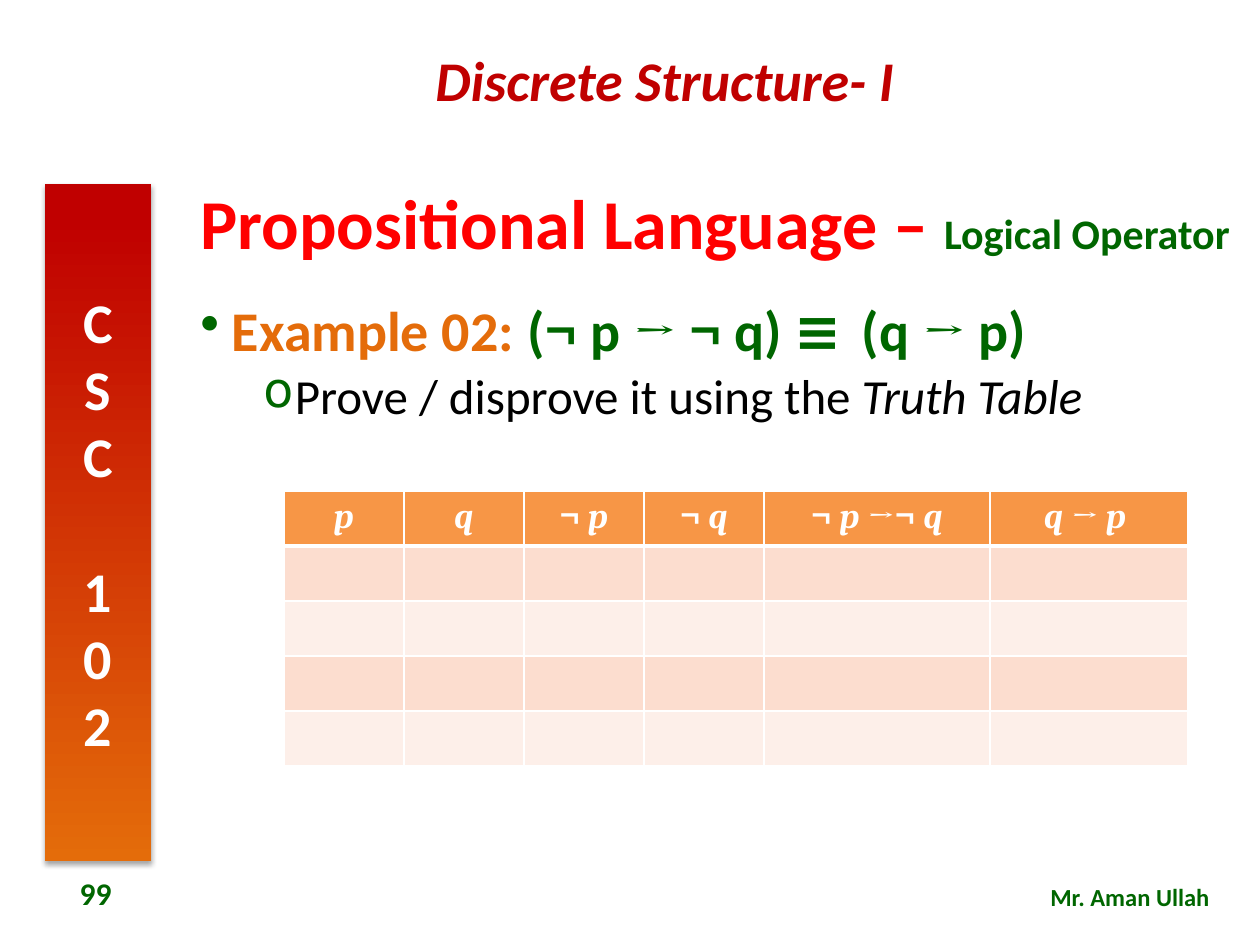
from lxml import etree
from pptx import Presentation
from pptx import util as u
from pptx.dml import color
from pptx.enum import shapes, text
from pptx.oxml import ns, parse_xml

PX = 914400 / 126
GREEN, RED, ORANGE, WHITE = "006600", "C00000", "E46C0A", "FFFFFF"
LEFT, CENTER, RIGHT, JUSTIFY = (text.PP_ALIGN.LEFT, text.PP_ALIGN.CENTER,
                                text.PP_ALIGN.RIGHT, text.PP_ALIGN.JUSTIFY)


def px(length):
    return u.Emu(round(length * PX))


def rgb(value):
    return color.RGBColor.from_string(value)


def add_span(para, words, size, hue, bold=True, italic=False, face="Calibri"):
    span = para.add_run()
    span.text = words
    font = span.font
    font.size, font.name = u.Pt(size), face
    font.bold, font.italic = bold, italic
    font.color.rgb = rgb(hue)


def add_box(page, place, anchor=text.MSO_ANCHOR.TOP):
    box = page.shapes.add_textbox(*map(px, place))
    box.text_frame.word_wrap = True
    box.text_frame.vertical_anchor = anchor
    return box.text_frame


def add_label(page, place, words, size, hue, align, italic=False):
    para = add_box(page, place, text.MSO_ANCHOR.MIDDLE).paragraphs[0]
    para.alignment = align
    add_span(para, words, size, hue, italic=italic)


def add_banner(page, place, words):
    banner = page.shapes.add_shape(shapes.MSO_SHAPE.RECTANGLE, *map(px, place))
    banner.line.fill.background()
    # Orange at the foot, rising to red
    banner.fill.gradient()
    banner.fill.gradient_angle = 90
    for stop, hue, position in zip(banner.fill.gradient_stops, (ORANGE, RED), (0, 0.95)):
        stop.color.rgb = rgb(hue)
        stop.position = position
    # Soft shadow below
    banner.shadow.inherit = False
    effects = banner.element.spPr.find(ns.qn("a:effectLst"))
    effects.append(parse_xml(
        f'<a:outerShdw {ns.nsdecls("a")} blurRad="40000" dist="23000" dir="5400000" '
        'rotWithShape="0"><a:srgbClr val="000000"><a:alpha val="35000"/></a:srgbClr>'
        '</a:outerShdw>'))
    # Stacked letters
    frame = banner.text_frame
    frame.vertical_anchor = text.MSO_ANCHOR.MIDDLE
    frame.paragraphs[0].alignment = CENTER
    add_span(frame.paragraphs[0], words, 32, WHITE)
    frame._txBody.bodyPr.set("vert", "wordArtVert")


def set_title(page, place):
    title = page.shapes.title
    title.left, title.top, title.width, title.height = map(px, place)
    frame = title.text_frame
    frame.auto_size = text.MSO_AUTO_SIZE.NONE
    frame.vertical_anchor = text.MSO_ANCHOR.MIDDLE
    para = frame.paragraphs[0]
    para.alignment, para.line_spacing = LEFT, 0.9
    add_span(para, "Propositional Language – ", 40, "FF0000")
    add_span(para, "Logical Operator", 24, GREEN)


def set_bullet(para, mark, indent):
    props = para._p.get_or_add_pPr()
    props.set("marL", str(u.Inches(indent)))
    props.set("indent", str(u.Inches(-0.25)))
    tint = etree.SubElement(props, ns.qn("a:buClr"))
    etree.SubElement(tint, ns.qn("a:srgbClr"), val=GREEN)
    etree.SubElement(props, ns.qn("a:buChar"), char=mark)


def add_example(page, place):
    frame = add_box(page, place)
    para = frame.paragraphs[0]
    para.alignment, para.line_spacing = JUSTIFY, 0.9
    set_bullet(para, "•", 0.25)
    add_span(para, "Example 02: ", 32, ORANGE)
    formula = [("(", "Calibri"), ("¬ ", "Cambria"), ("p ", "Calibri"),
               ("→ ¬ ", "Cambria"), ("q) ", "Calibri"), ("≡ ", "Comic Neue"),
               ("(q ", "Calibri"), ("→", "Cambria"), (" p)", "Calibri")]
    for words, face in formula:
        add_span(para, words, 32, GREEN, face=face)

    task = frame.add_paragraph()
    task.level, task.line_spacing, task.space_before = 1, 0.9, u.Pt(5)
    set_bullet(task, "o", 0.75)
    add_span(task, "Prove / disprove it using the ", 28, "000000", bold=False)
    add_span(task, "Truth Table", 28, "000000", bold=False, italic=True)


def format_cell(cell, hue, bottom_width):
    # Borders come before the fill in the cell properties
    props = cell._tc.get_or_add_tcPr()
    widths = {"a:lnL": 1, "a:lnR": 1, "a:lnT": 1, "a:lnB": bottom_width}
    for side, width in widths.items():
        line = etree.SubElement(props, ns.qn(side), w=str(u.Pt(width)))
        solid = etree.SubElement(line, ns.qn("a:solidFill"))
        etree.SubElement(solid, ns.qn("a:srgbClr"), val=WHITE)
    cell.fill.solid()
    cell.fill.fore_color.rgb = rgb(hue)


def add_truth_table(page, left, top):
    headings = [["p"], ["q"], ["¬ ", "p"], ["¬ ", "q"],
                ["¬ ", "p ", "→¬ ", "q"], ["q ", "→ ", "p "]]
    widths = [120] * 4 + [226, 198]
    row_fills = ["F79646"] + ["FCDDCF", "FDEFE9"] * 2
    row_height = 55
    table = page.shapes.add_table(
        len(row_fills), len(widths), px(left), px(top),
        px(sum(widths)), px(row_height * len(row_fills))).table
    for column, width in zip(table.columns, widths):
        column.width = px(width)
    for row, hue in zip(table.rows, row_fills):
        row.height = px(row_height)
        for cell in row.cells:
            format_cell(cell, hue, 3 if hue == row_fills[0] else 1)
    # Variables are italic, operators upright
    for cell, parts in zip(table.rows[0].cells, headings):
        para = cell.text_frame.paragraphs[0]
        para.alignment = CENTER
        for part in parts:
            add_span(para, part, 20, WHITE, italic=part.strip().isalpha(), face="Cambria")


def main():
    deck = Presentation()
    deck.slide_width, deck.slide_height = px(1260), px(945)
    page = deck.slides.add_slide(deck.slide_layouts[5])

    # Course frame
    add_label(page, (266, 39, 798, 81), "Discrete Structure- I", 32, RED, CENTER, italic=True)
    add_banner(page, (45, 184, 106, 677), "CSC 102")
    add_label(page, (857, 875, 365, 43), "Mr. Aman Ullah", 14, GREEN, RIGHT)
    add_label(page, (30, 867, 131, 51), "99", 18, GREEN, CENTER)

    # Lesson content
    set_title(page, (188, 171, 1057, 112))
    add_example(page, (188, 297, 1057, 554))
    add_truth_table(page, 284, 491)
    deck.save("out.pptx")


if __name__ == "__main__":
    main()
